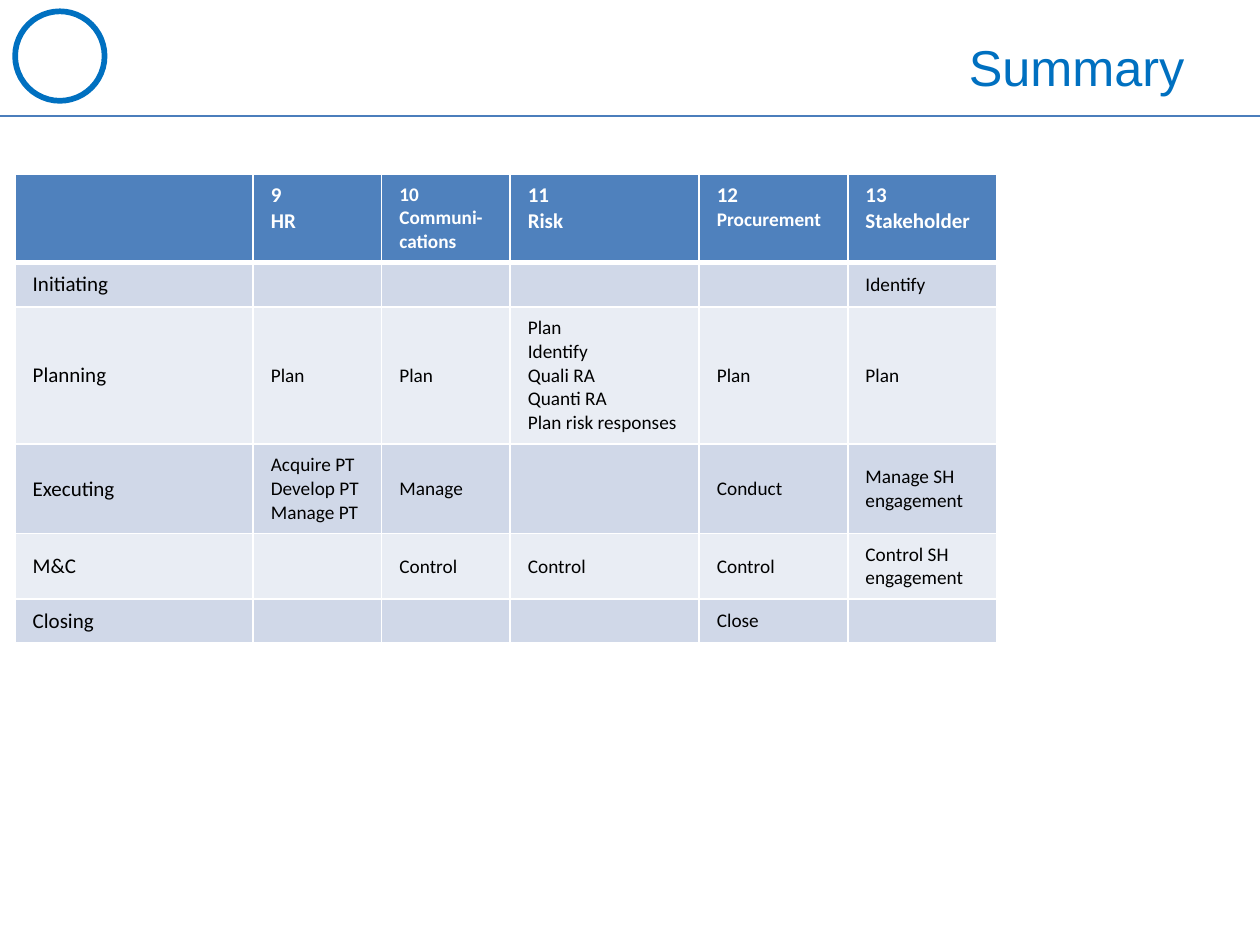
from dataclasses import dataclass

from lxml.etree import SubElement
from pptx import Presentation
from pptx.dml.color import RGBColor
from pptx.enum.shapes import MSO_CONNECTOR as Connector, MSO_SHAPE as Preset
from pptx.enum.text import MSO_ANCHOR as Anchor, MSO_AUTO_SIZE as AutoSize, PP_ALIGN as Align
from pptx.oxml.ns import qn
from pptx.util import Inches, Pt


@dataclass(frozen=True)
class Theme:
    accent: str = "0070C0"
    rule: str = "4B7EBC"
    header: str = "4F81BD"
    bands: tuple = ("D0D8E8", "E9EDF4")
    white: str = "FFFFFF"
    black: str = "000000"
    title_font: str = "Arial"
    body_font: str = "Calibri"
    title_size: float = 28.8
    label_size: float = 12
    text_size: float = 11


@dataclass(frozen=True)
class Row:
    label: str
    height: float
    entries: tuple


THEME = Theme()
WIDTH, HEIGHT = 10, 7.5
COLUMN_WIDTHS = (1.89, 1.02, 1.02, 1.5, 1.18, 1.18)
HEADER_HEIGHT = 0.7

# Header lines, each with its type size
LARGE, SMALL = THEME.label_size, THEME.text_size
HEADERS = (
    (),
    (("9", LARGE), ("HR", LARGE)),
    (("10", SMALL), ("Communi-cations", SMALL)),
    (("11", LARGE), ("Risk", LARGE)),
    (("12", LARGE), ("Procurement", SMALL)),
    (("13", LARGE), ("Stakeholder", LARGE)),
)
ROWS = (
    Row("Initiating", 0.35, ("", "", "", "", "Identify")),
    Row("Planning", 1.09, (
        "Plan", "Plan",
        "Plan\nIdentify\nQuali RA\nQuanti RA\nPlan risk responses",
        "Plan", "Plan")),
    Row("Executing", 0.71, (
        "Acquire PT\nDevelop PT\nManage PT", "Manage", "", "Conduct",
        "Manage SH engagement")),
    Row("M&C", 0.52, ("", "Control", "Control", "Control", "Control SH engagement")),
    Row("Closing", 0.35, ("", "", "", "Close", "")),
)


def apply(target, values: dict) -> None:
    for name, value in values.items():
        setattr(target, name, value)


def format_font(font, name: str, size: float, color: str, bold: bool = False) -> None:
    apply(font, {"name": name, "size": Pt(size), "bold": bold})
    font.color.rgb = RGBColor.from_string(color)


def set_borders(cell, widths: dict) -> None:
    """Add white borders; they precede the fill in the cell properties."""
    properties = cell._tc.get_or_add_tcPr()
    for side, width in widths.items():
        line = SubElement(properties, qn(f"a:{side}"), w=str(Pt(width)))
        fill = SubElement(line, qn("a:solidFill"))
        SubElement(fill, qn("a:srgbClr"), val=THEME.white)


def fill_cell(cell, lines: tuple, fill: str, color: str, header: bool, top: float) -> None:
    set_borders(cell, {"lnL": 1, "lnR": 1, "lnT": top, "lnB": 3 if header else 1})
    cell.fill.solid()
    cell.fill.fore_color.rgb = RGBColor.from_string(fill)
    apply(cell, {
        "margin_left": Inches(0.14), "margin_right": Inches(0.14),
        "margin_top": Inches(0.07), "margin_bottom": Inches(0.07),
        "vertical_anchor": Anchor.TOP if header else Anchor.MIDDLE,
    })
    frame = cell.text_frame
    for index, (text, size) in enumerate(lines):
        paragraph = frame.add_paragraph() if index else frame.paragraphs[0]
        run = paragraph.add_run()
        run.text = text
        format_font(run.font, THEME.body_font, size, color, header)
    if not lines:
        # Keep empty cells from stretching their row
        SubElement(frame.paragraphs[0]._p, qn("a:endParaRPr"), sz=str(SMALL * 100))


def add_summary_table(slide) -> None:
    heights = (HEADER_HEIGHT, *(row.height for row in ROWS))
    frame = slide.shapes.add_table(
        len(heights), len(COLUMN_WIDTHS), Inches(0.12), Inches(1.38),
        Inches(sum(COLUMN_WIDTHS)), Inches(sum(heights)))
    table = frame.table
    for column, width in zip(table.columns, COLUMN_WIDTHS):
        column.width = Inches(width)
    for table_row, height in zip(table.rows, heights):
        table_row.height = Inches(height)
    for column, lines in enumerate(HEADERS):
        fill_cell(table.cell(0, column), lines, THEME.header, THEME.white, True, 1)
    for number, row in enumerate(ROWS):
        band = THEME.bands[number % 2]
        for column, text in enumerate((row.label, *row.entries)):
            size = SMALL if column else LARGE
            lines = tuple((line, size) for line in text.splitlines())
            fill_cell(table.cell(number + 1, column), lines, band, THEME.black,
                      False, 1 if number else 3)


def add_title(slide, text: str) -> None:
    title = slide.shapes.title
    apply(title, {"left": Inches(0.5), "top": Inches(0.3),
                  "width": Inches(WIDTH - 1), "height": Inches(0.46)})
    frame = title.text_frame
    frame.text = text
    apply(frame, {"auto_size": AutoSize.NONE, "word_wrap": True,
                  "vertical_anchor": Anchor.MIDDLE})
    paragraph = frame.paragraphs[0]
    paragraph.alignment = Align.RIGHT
    format_font(paragraph.runs[0].font, THEME.title_font, THEME.title_size, THEME.accent)


def add_header_band(slide) -> None:
    # Rule below the title
    rule = slide.shapes.add_connector(
        Connector.STRAIGHT, 0, Inches(0.92), Inches(WIDTH), Inches(0.92))
    rule.line.color.rgb = RGBColor.from_string(THEME.rule)
    rule.line.width = Pt(0.75)
    SubElement(rule._element.spPr, qn("a:effectLst"))
    # Plain ring in the corner
    ring = slide.shapes.add_shape(
        Preset.OVAL, Inches(0.12), Inches(0.09), Inches(0.71), Inches(0.71))
    ring.shadow.inherit = False
    ring.fill.background()
    ring.line.color.rgb = RGBColor.from_string(THEME.accent)
    ring.line.width = Pt(3.25)


presentation = Presentation()
apply(presentation, {"slide_width": Inches(WIDTH), "slide_height": Inches(HEIGHT)})
slide = presentation.slides.add_slide(presentation.slide_layouts[5])
add_header_band(slide)
add_title(slide, "Summary")
add_summary_table(slide)
presentation.save("out.pptx")
